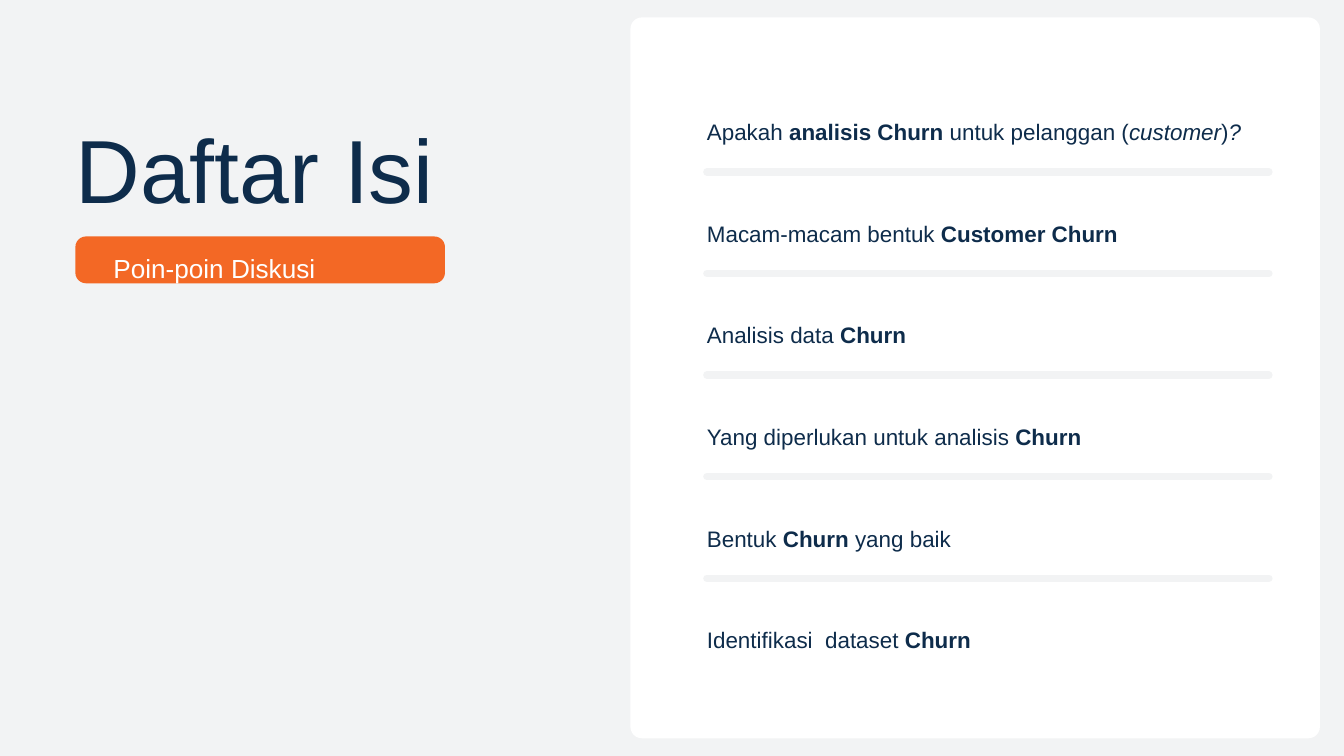
from dataclasses import dataclass

from lxml.etree import SubElement
from pptx import Presentation
from pptx.dml.color import RGBColor
from pptx.enum.shapes import MSO_CONNECTOR, MSO_SHAPE
from pptx.enum.text import MSO_AUTO_SIZE
from pptx.oxml.ns import qn
from pptx.util import Cm, Pt


@dataclass(frozen=True)
class Theme:
    face: str = "Arial"
    navy: RGBColor = RGBColor(0x0E, 0x2C, 0x4B)
    gray: RGBColor = RGBColor(0xF2, 0xF3, 0xF4)
    white: RGBColor = RGBColor(0xFF, 0xFF, 0xFF)
    orange: RGBColor = RGBColor(0xF3, 0x68, 0x25)
    title: Pt = Pt(96)
    label: Pt = Pt(28)
    item: Pt = Pt(24)
    rule: Pt = Pt(8)


theme = Theme()
deck = Presentation()
deck.slide_width, deck.slide_height = Cm(50.8), Cm(28.58)
slide = deck.slides.add_slide(deck.slide_layouts[6])
slide.background.fill.solid()
slide.background.fill.fore_color.rgb = theme.gray


def add_card(left, top, width, height, radius, color):
    card = slide.shapes.add_shape(
        MSO_SHAPE.ROUNDED_RECTANGLE, Cm(left), Cm(top), Cm(width), Cm(height))
    card.adjustments[0] = radius / min(width, height)
    card.shadow.inherit = False
    card.fill.solid()
    card.fill.fore_color.rgb = color
    card.line.fill.background()


def add_text(left, top, width, height, parts, size, color, spacing):
    """Each part is a (words, style) pair; style is "", "b" or "i"."""
    box = slide.shapes.add_textbox(Cm(left), Cm(top), Cm(width), Cm(height))
    frame = box.text_frame
    frame.word_wrap = True
    frame.auto_size = MSO_AUTO_SIZE.SHAPE_TO_FIT_TEXT
    frame.margin_left = frame.margin_right = 0
    frame.margin_top = frame.margin_bottom = 0
    para = frame.paragraphs[0]
    para.line_spacing = spacing
    para.font.name = theme.face
    para.font.size = size
    para.font.color.rgb = color
    for words, style in parts:
        run = para.add_run()
        run.text = words
        if style == "b":
            run.font.bold = True
        elif style == "i":
            run.font.italic = True


# White panel
add_card(23.83, 0.66, 26.06, 27.25, 0.43, theme.white)

# Contents: text width and styled parts of each item
items = [
    (20.55, [("Apakah ", ""), ("analisis Churn", "b"), (" untuk pelanggan (", ""),
             ("customer", "i"), (")", ""), ("?", "i")]),
    (19.05, [("Macam-macam bentuk ", ""), ("Customer Churn", "b")]),
    (21.24, [("Analisis data ", ""), ("Churn", "b")]),
    (19.05, [("Yang diperlukan untuk analisis ", ""), ("Churn", "b")]),
    (19.05, [("Bentuk ", ""), ("Churn ", "b"), ("yang baik", "")]),
    (19.05, [("Identifikasi  dataset ", ""), ("Churn", "b")]),
]
left, right, first, pitch = 26.72, 47.96, 4.07, 3.84

# Rules between the items
for row in range(len(items) - 1):
    y = Cm(first + 2.43 + row * pitch)
    rule = slide.shapes.add_connector(
        MSO_CONNECTOR.STRAIGHT, Cm(left), y, Cm(right), y)
    rule.line.color.rgb = theme.gray
    rule.line.width = theme.rule
    rule.line._get_or_add_ln().set("cap", "rnd")
    SubElement(rule._element.spPr, qn("a:effectLst"))

# Item texts
for row, (width, parts) in enumerate(items):
    add_text(left, first + row * pitch, width, 1.02, parts,
             theme.item, theme.navy, 1.4)

# Title and badge
add_card(2.85, 8.94, 13.97, 1.77, 0.4, theme.orange)
add_text(2.85, 3.48, 17.15, 4.11, [("Daftar Isi", "")],
         theme.title, theme.navy, 1.2)
add_text(4.29, 9.32, 11.63, 1.19, [("Poin-poin Diskusi", "")],
         theme.label, theme.white, 1.2)

deck.save("out.pptx")
